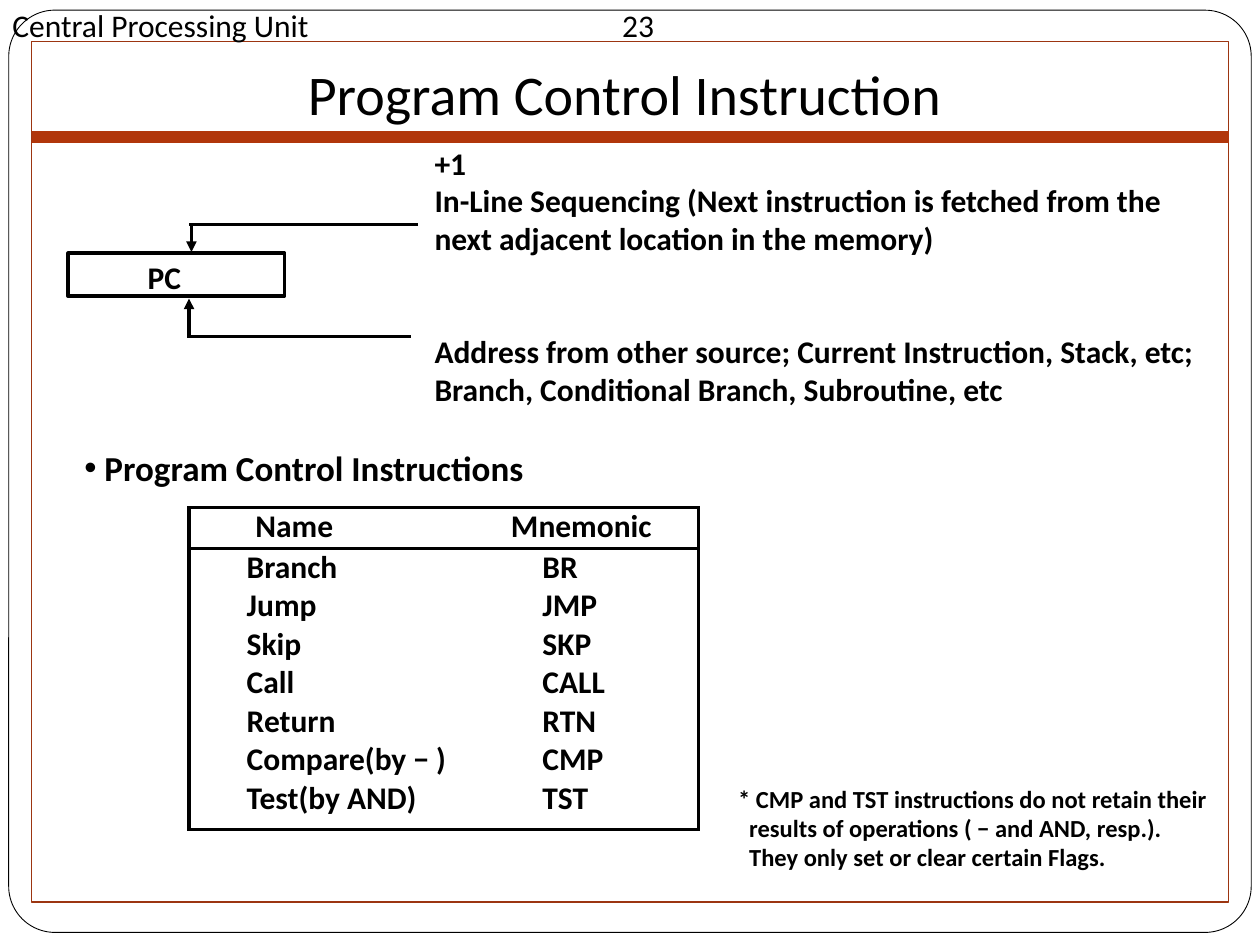
"""Build the Program Control Instruction slide."""
from dataclasses import dataclass
from typing import NamedTuple

import lxml.etree
import pptx
import pptx.dml.color
import pptx.enum.shapes
import pptx.enum.text
import pptx.oxml.ns
import pptx.util

Pt = pptx.util.Pt
RGB = pptx.dml.color.RGBColor
SHAPE = pptx.enum.shapes.MSO_SHAPE
qn = pptx.oxml.ns.qn


@dataclass(frozen=True)
class Theme:
    font: str = "Calibri"
    ink: str = "000000"
    frame: str = "9C3511"
    rule: str = "B1360B"
    title: float = 32
    heading: float = 20
    body: float = 18
    note: float = 14
    stroke: float = 2


class Box(NamedTuple):
    left: float
    top: float
    width: float
    height: float


class Line(NamedTuple):
    x1: float
    y1: float
    x2: float
    y2: float
    color: str
    weight: float
    arrow: bool = False


class Instruction(NamedTuple):
    name: str
    mnemonic: str


THEME = Theme()
PC = Box(38.9, 144.7, 123.8, 24.5)
TABLE = Box(108, 290.2, 290.9, 183.6)
NAME_WIDTH, HEADER_HEIGHT, ROW_HEIGHT = 180, 23, 22
HEADER_INSETS, BODY_INSETS = (38, 4), (33, 22)

FLOW_LINES = [
    Line(239, 128.2, 108, 128.2, THEME.ink, THEME.stroke),
    Line(109.4, 128.9, 109.4, PC.top - 0.7, THEME.ink, THEME.stroke, True),
    Line(234.7, 192.2, 106.6, 192.2, THEME.ink, THEME.stroke),
    Line(108, 193, 108, 170.6, THEME.ink, THEME.stroke, True),
]
INSTRUCTIONS = [
    Instruction("Name", "Mnemonic"),
    Instruction("Branch", "BR"),
    Instruction("Jump", "JMP"),
    Instruction("Skip", "SKP"),
    Instruction("Call", "CALL"),
    Instruction("Return", "RTN"),
    Instruction("Compare(by − )", "CMP"),
    Instruction("Test(by AND)", "TST"),
]


def place(s, box: Box) -> None:
    """Move and size a shape."""
    s.left, s.top, s.width, s.height = map(Pt, box)


def style_text(tf, size: float, bold: bool = True) -> None:
    """Apply the theme font to every run."""
    for p in tf.paragraphs:
        for r in p.runs:
            r.font.name, r.font.size, r.font.bold = THEME.font, Pt(size), bold
            r.font.color.rgb = RGB.from_string(THEME.ink)


def set_indent(p, margin: float, first: float) -> None:
    """Set the left margin and first-line indent of a paragraph."""
    pPr = p._p.get_or_add_pPr()
    pPr.set("marL", str(Pt(margin)))
    pPr.set("indent", str(Pt(first)))


def add_text(slide, box: Box, text: str, size: float, bold: bool = True):
    """Add a wrapping text box and return its text frame."""
    tf = slide.shapes.add_textbox(*map(Pt, box)).text_frame
    tf.word_wrap = True
    tf.text = text
    style_text(tf, size, bold)
    return tf


def add_outline(slide, kind, box: Box, color: str, weight: float):
    """Add an unfilled outlined shape."""
    s = slide.shapes.add_shape(kind, *map(Pt, box))
    s.shadow.inherit = False
    s.fill.background()
    s.line.color.rgb = RGB.from_string(color)
    s.line.width = Pt(weight)
    return s


def add_line(slide, line: Line) -> None:
    """Add a straight line with an optional arrowhead."""
    s = slide.shapes.add_connector(
        pptx.enum.shapes.MSO_CONNECTOR.STRAIGHT, *map(Pt, line[:4]))
    s.line.color.rgb = RGB.from_string(line.color)
    s.line.width = Pt(line.weight)
    if line.arrow:
        lxml.etree.SubElement(s.line._get_or_add_ln(), qn("a:tailEnd"), type="triangle")
    lxml.etree.SubElement(s._element.spPr, qn("a:effectLst"))


def set_borders(cell, sides: set[str]) -> None:
    """Draw the named cell sides and clear the others."""
    tcPr = cell._tc.get_or_add_tcPr()
    for i, side in enumerate("LRTB"):
        ln = lxml.etree.Element(qn(f"a:ln{side}"), w=str(Pt(THEME.stroke)))
        if side in sides:
            fill = lxml.etree.SubElement(ln, qn("a:solidFill"))
            lxml.etree.SubElement(fill, qn("a:srgbClr"), val=THEME.ink)
        else:
            lxml.etree.SubElement(ln, qn("a:noFill"))
        tcPr.insert(i, ln)


def add_instruction_table(slide, rows: list[Instruction]) -> None:
    """Add the boxed table of instruction names and mnemonics."""
    last = len(rows) - 1
    table = slide.shapes.add_table(len(rows), 2, *map(Pt, TABLE)).table
    table.first_row = table.horz_banding = False
    table.columns[0].width = Pt(NAME_WIDTH)
    table.columns[1].width = Pt(TABLE.width - NAME_WIDTH)
    heights = [HEADER_HEIGHT] + [ROW_HEIGHT] * (last - 1)
    heights.append(TABLE.height - sum(heights))
    for i, (row, height) in enumerate(zip(rows, heights)):
        table.rows[i].height = Pt(height)
        insets = BODY_INSETS if i else HEADER_INSETS
        for j, text in enumerate(row):
            cell = table.cell(i, j)
            cell.fill.background()
            cell.margin_left = Pt(insets[j])
            cell.margin_right = cell.margin_top = cell.margin_bottom = 0
            cell.text_frame.text = text
            style_text(cell.text_frame, THEME.body)
            sides = {"LR"[j]}
            if i in (0, 1):
                sides.add("T")
            if i in (0, last):
                sides.add("B")
            set_borders(cell, sides)


def main() -> None:
    """Create and save the presentation."""
    prs = pptx.Presentation()
    prs.slide_width, prs.slide_height = Pt(720), Pt(540)
    slide = prs.slides.add_slide(prs.slide_layouts[1])

    s = add_outline(slide, SHAPE.ROUNDED_RECTANGLE, Box(5, 5.8, 710, 527), THEME.ink, 0.5)
    s.adjustments[0] = 0.05
    add_outline(slide, SHAPE.RECTANGLE, Box(18, 23.8, 684, 491.8), THEME.frame, 1)
    tf = add_text(slide, Box(0, 0, 720, 28.8), "Central Processing Unit\t23", THEME.body, False)
    tabs = lxml.etree.SubElement(tf.paragraphs[0]._p.get_or_add_pPr(), qn("a:tabLst"))
    lxml.etree.SubElement(tabs, qn("a:tab"), pos=str(Pt(348.5)), algn="l")
    add_line(slide, Line(18, 78.1, 702, 78.1, THEME.rule, 6.75))

    title, body = slide.placeholders
    place(title, Box(54, 30.2, 606, 46))
    title.text_frame.text = "Program Control Instruction"
    style_text(title.text_frame, THEME.title, False)
    place(body, Box(41, 251.3, 352, 31))
    body.text_frame.text = "Program Control Instructions"
    style_text(body.text_frame, THEME.heading)
    body.text_frame.paragraphs[0].space_before = Pt(0)
    set_indent(body.text_frame.paragraphs[0], 11.5, -11.5)

    tf = add_outline(slide, SHAPE.RECTANGLE, PC, THEME.ink, THEME.stroke).text_frame
    tf.text = "PC"
    tf.vertical_anchor = pptx.enum.text.MSO_ANCHOR.TOP
    tf.margin_left, tf.margin_top, tf.margin_bottom = Pt(45.4), Pt(3), 0
    tf.paragraphs[0].alignment = pptx.enum.text.PP_ALIGN.LEFT
    style_text(tf, THEME.body)
    for line in FLOW_LINES:
        add_line(slide, line)

    tf = add_text(slide, Box(241.2, 78.5, 454.3, 162.7), (
        "+1\nIn-Line Sequencing (Next instruction is fetched from the next adjacent "
        "location in the memory)\nAddress from other source; Current Instruction, Stack, "
        "etc; Branch, Conditional Branch, Subroutine, etc"), THEME.body)
    tf.paragraphs[-1].space_before = Pt(43)
    add_instruction_table(slide, INSTRUCTIONS)
    tf = add_text(slide, Box(414.7, 444.2, 293.8, 58.3), (
        "* CMP and TST instructions do not retain their\n"
        "results of operations ( − and AND, resp.).\n"
        "They only set or clear certain Flags."), THEME.note)
    for p in tf.paragraphs[1:]:
        set_indent(p, 6.3, 0)
    prs.save("out.pptx")


if __name__ == "__main__":
    main()
